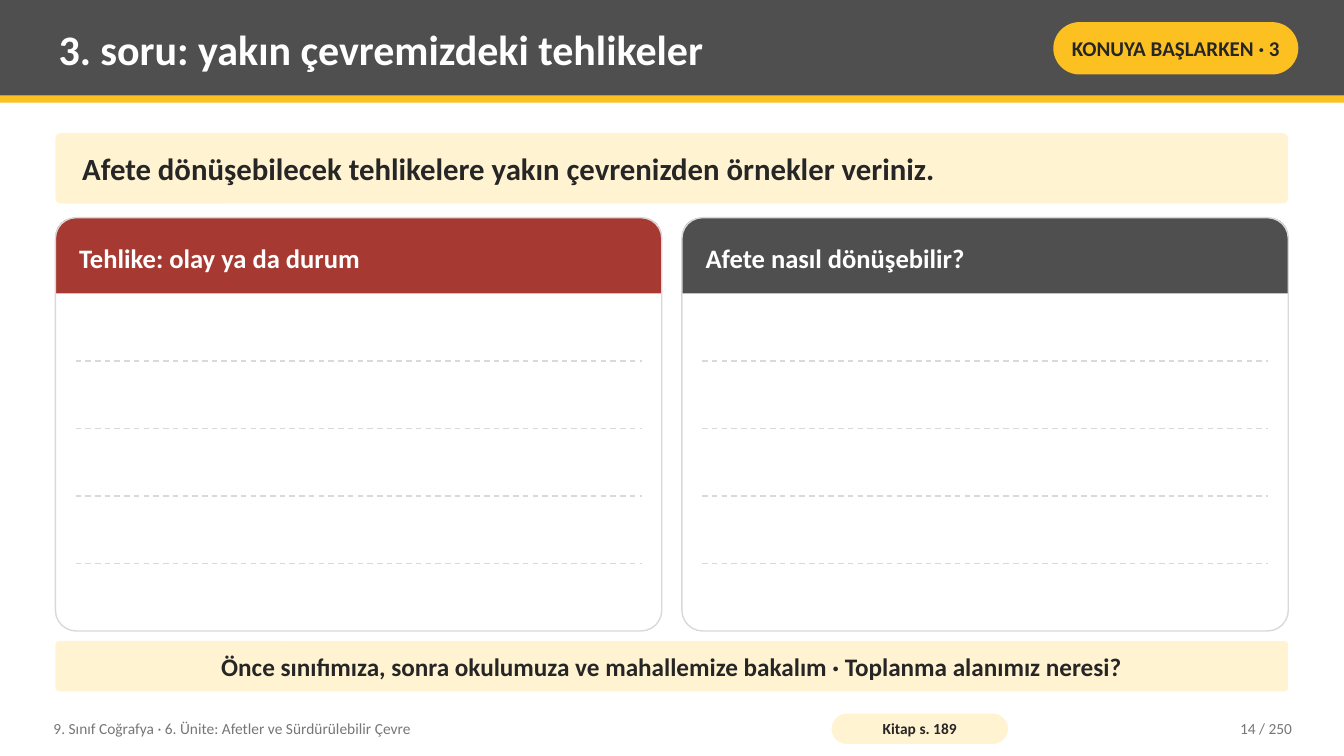
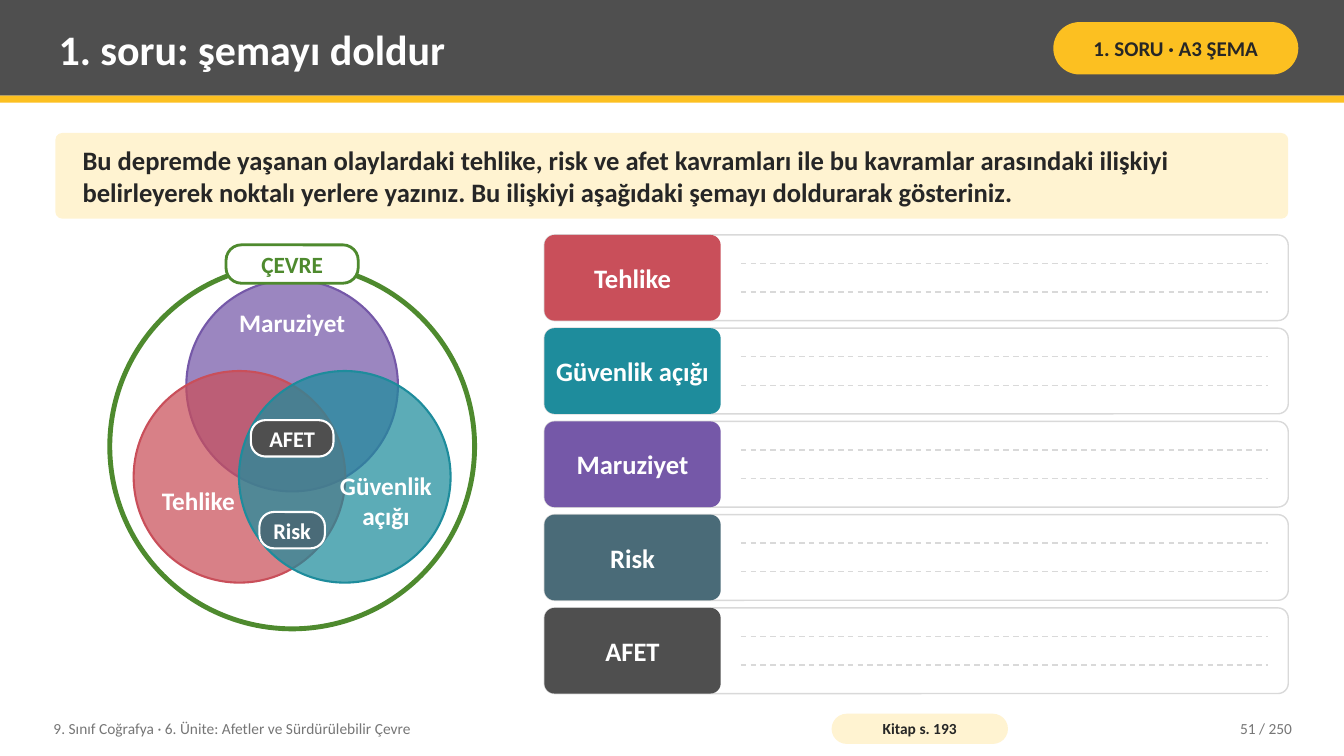
import math
from dataclasses import dataclass

import pptx
import pptx.dml.color
import pptx.enum.dml
import pptx.enum.shapes
import pptx.enum.text
import pptx.oxml.ns
import pptx.util
from lxml import etree

Pt = pptx.util.Pt
Preset = pptx.enum.shapes.MSO_SHAPE
Align = pptx.enum.text.PP_ALIGN


@dataclass(frozen=True)
class Theme:
    font: str = "Calibri"
    dark: str = "4F4F4F"
    gold: str = "FCC021"
    cream: str = "FFF3D1"
    white: str = "FFFFFF"
    ink: str = "262626"
    muted: str = "767676"
    rule: str = "D9D9D9"
    brick: str = "A63A32"
    hazard: str = "C94F5A"
    weakness: str = "1E8C9C"
    exposure: str = "7558A8"
    risk: str = "4A6B78"
    environment: str = "4E8A2E"
    title_size: float = 30
    question_size: float = 22
    heading_size: float = 19
    label_size: float = 18
    pill_size: float = 16
    badge_size: float = 15
    footer_size: float = 11


@dataclass(frozen=True)
class Box:
    x: float
    y: float
    w: float
    h: float

    @property
    def right(self):
        return self.x + self.w

    @property
    def bottom(self):
        return self.y + self.h

    def place(self):
        return [Pt(v) for v in (self.x, self.y, self.w, self.h)]


THEME = Theme()
SLIDE_W, SLIDE_H = 960, 540
MARGIN, CONTENT_W = 39.6, 880.6
COURSE = "9. Sınıf Coğrafya · 6. Ünite: Afetler ve Sürdürülebilir Çevre"
PAGE_COUNT = 250


def rgb(color):
    return pptx.dml.color.RGBColor.from_string(color)


def centered(x, y, w, h):
    return Box(x - w / 2, y - h / 2, w, h)


def write(shape, text, size, color, bold=True, align=Align.CENTER, inset=(1.4, 0)):
    """Fill a shape's frame with one run; inset is (horizontal, vertical)."""
    frame = shape.text_frame
    frame.word_wrap = True
    frame.auto_size = pptx.enum.text.MSO_AUTO_SIZE.NONE
    frame.vertical_anchor = pptx.enum.text.MSO_ANCHOR.MIDDLE
    frame.margin_left = frame.margin_right = Pt(inset[0])
    frame.margin_top = frame.margin_bottom = Pt(inset[1])
    paragraph = frame.paragraphs[0]
    paragraph.alignment = align
    run = paragraph.add_run()
    run.text = text
    run.font.name = THEME.font
    run.font.size = Pt(size)
    run.font.bold = bold
    run.font.color.rgb = rgb(color)


def draw(slide, preset, box, fill=None, line=None, line_width=1, corner=None, opacity=None):
    """Add a flat preset shape; opacity is a percentage."""
    shape = slide.shapes.add_shape(preset, *box.place())
    shape.shadow.inherit = False
    if corner is not None:
        shape.adjustments[0] = corner
    if fill:
        shape.fill.solid()
        shape.fill.fore_color.rgb = rgb(fill)
    else:
        shape.fill.background()
    if opacity is not None:
        fill_color = shape.element.spPr.find(".//" + pptx.oxml.ns.qn("a:srgbClr"))
        etree.SubElement(fill_color, pptx.oxml.ns.qn("a:alpha"), val=str(opacity * 1000))
    if line:
        shape.line.color.rgb = rgb(line)
        shape.line.width = Pt(line_width)
    else:
        shape.line.fill.background()
    return shape


def rounded(slide, box, corner, **style):
    return draw(slide, Preset.ROUNDED_RECTANGLE, box, corner=corner, **style)


def label(slide, box, text, size, color, **style):
    write(slide.shapes.add_textbox(*box.place()), text, size, color, **style)


def writing_lines(slide, box, count):
    """Draw dashed lines that divide the box's height into equal parts."""
    for i in range(1, count + 1):
        y = Pt(box.y + box.h * i / (count + 1))
        rule = slide.shapes.add_connector(
            pptx.enum.shapes.MSO_CONNECTOR.STRAIGHT, Pt(box.x), y, Pt(box.right), y)
        rule.line.color.rgb = rgb(THEME.rule)
        rule.line.width = Pt(1)
        rule.line.dash_style = pptx.enum.dml.MSO_LINE.DASH
        etree.SubElement(rule.element.spPr, pptx.oxml.ns.qn("a:effectLst"))


def header(slide, title, badge):
    draw(slide, Preset.RECTANGLE, Box(0, 0, SLIDE_W, 68.4), fill=THEME.dark)
    draw(slide, Preset.RECTANGLE, Box(0, 68.4, SLIDE_W, 5), fill=THEME.gold)
    heading = slide.shapes.title
    heading.left, heading.top, heading.width, heading.height = Box(36, 5, 702, 59).place()
    write(heading, title, THEME.title_size, THEME.white, align=Align.LEFT, inset=(5.8, 2.9))
    slide.shapes.element.append(heading.element)  # bring the title in front of the band
    tag = rounded(slide, Box(752.4, 15.8, 175, 37.4), 0.5, fill=THEME.gold)
    write(tag, badge, THEME.badge_size, THEME.ink, inset=(3.6, 1.4))


def footer(slide, book_page, page):
    style = dict(bold=False, inset=(5.8, 2.9))
    label(slide, Box(32.4, 506.9, 547.2, 26), COURSE, THEME.footer_size, THEME.muted,
          align=Align.LEFT, **style)
    source = rounded(slide, Box(594, 509.8, 126, 21.6), 0.5, fill=THEME.cream)
    write(source, f"Kitap s. {book_page}", THEME.footer_size, THEME.ink, inset=(2.9, 0))
    label(slide, Box(813.6, 506.9, 115.2, 26), f"{page} / {PAGE_COUNT}", THEME.footer_size,
          THEME.muted, align=Align.RIGHT, **style)


def strip(slide, box, text, size, align, side_inset):
    band = rounded(slide, box, 0.08, fill=THEME.cream)
    write(band, text, size, THEME.ink, align=align, inset=(side_inset, 5.8))


def answer_panel(slide, box, heading, color):
    head_h, indent = 54, 14.4
    head = draw(slide, Preset.ROUND_2_SAME_RECTANGLE, Box(box.x, box.y, box.w, head_h),
                fill=color, corner=0.25)
    write(head, heading, THEME.heading_size, THEME.white, align=Align.LEFT, inset=(13, 2.9))
    rounded(slide, box, 0.05, line=THEME.rule)
    writing_lines(slide, Box(box.x + indent, box.y + head_h, box.w - 2 * indent,
                             box.h - head_h), 4)


def concept_rows(slide, box, concepts):
    gap, name_w, indent = 5.4, 126, 14.4
    row_h = (box.h - gap * (len(concepts) - 1)) / len(concepts)
    for i, (concept, color) in enumerate(concepts):
        y = box.y + i * (row_h + gap)
        rounded(slide, Box(box.x, y, box.w, row_h), 0.12, fill=THEME.white, line=THEME.rule)
        name = rounded(slide, Box(box.x, y, name_w, row_h), 0.12, fill=color)
        write(name, concept, THEME.heading_size, THEME.white, inset=(4.3, 5.8))
        writing_lines(slide, Box(box.x + name_w + indent, y,
                                 box.w - name_w - 2 * indent, row_h), 2)


def disaster_venn(slide, box):
    """Three overlapping circles around the centre of a ring that fills the box."""
    cx, cy = box.x + box.w / 2, box.y + box.h / 2
    diameter, spread = box.w * 0.58, box.w / 6
    draw(slide, Preset.OVAL, box, fill=THEME.white, line=THEME.environment, line_width=3.5)
    for angle, color in ((-90, THEME.exposure), (150, THEME.hazard), (30, THEME.weakness)):
        x = cx + spread * math.cos(math.radians(angle))
        y = cy + spread * math.sin(math.radians(angle))
        draw(slide, Preset.OVAL, centered(x, y, diameter, diameter), fill=color,
             opacity=72, line=color, line_width=1.5)

    for text, dx, dy, w, h in (("Maruziyet", 0, -88.6, 113, 31.7),
                               ("Tehlike", -67, 38.9, 72, 31.7),
                               ("Güvenlik açığı", 67, 38.5, 72, 46.8)):
        label(slide, centered(cx + dx, cy + dy, w, h), text, THEME.label_size, THEME.white)

    for text, dy, w, h, fill, edge, edge_width, color, size in (
            ("Risk", 59.8, 46.8, 26, THEME.risk, THEME.white, 1.5, THEME.white, THEME.pill_size),
            ("AFET", -5.8, 59, 26, THEME.dark, THEME.white, 1.5, THEME.white, THEME.pill_size),
            ("ÇEVRE", -box.h / 2, 94.4, 27.4, THEME.white, THEME.environment, 2,
             THEME.environment, THEME.pill_size + 0.6)):
        pill = rounded(slide, centered(cx, cy + dy, w, h), 0.4, fill=fill, line=edge,
                       line_width=edge_width)
        write(pill, text, size, color)


def lesson_slide(deck, title, badge, book_page, page):
    slide = deck.slides.add_slide(deck.slide_layouts.get_by_name("Title Only"))
    header(slide, title, badge)
    footer(slide, book_page, page)
    return slide


def hazards_slide(deck):
    slide = lesson_slide(deck, "3. soru: yakın çevremizdeki tehlikeler",
                         "KONUYA BAŞLARKEN · 3", 189, 14)
    strip(slide, Box(MARGIN, 95, CONTENT_W, 50.4),
          "Afete dönüşebilecek tehlikelere yakın çevrenizden örnekler veriniz.",
          THEME.question_size, Align.LEFT, 18)
    gap = 14.4
    panel_w = (CONTENT_W - gap) / 2
    for i, (heading, color) in enumerate((("Tehlike: olay ya da durum", THEME.brick),
                                          ("Afete nasıl dönüşebilir?", THEME.dark))):
        answer_panel(slide, Box(MARGIN + i * (panel_w + gap), 155.5, panel_w, 295.2),
                     heading, color)
    strip(slide, Box(MARGIN, 457.9, CONTENT_W, 36),
          "Önce sınıfımıza, sonra okulumuza ve mahallemize bakalım · Toplanma alanımız neresi?",
          THEME.label_size, Align.CENTER, 10)


def diagram_slide(deck):
    slide = lesson_slide(deck, "1. soru: şemayı doldur", "1. SORU · A3 ŞEMA", 193, 51)
    strip(slide, Box(MARGIN, 95, CONTENT_W, 61.2),
          "Bu depremde yaşanan olaylardaki tehlike, risk ve afet kavramları ile bu kavramlar "
          "arasındaki ilişkiyi belirleyerek noktalı yerlere yazınız. Bu ilişkiyi aşağıdaki "
          "şemayı doldurarak gösteriniz.",
          THEME.heading_size, Align.LEFT, 18)
    disaster_venn(slide, Box(78.4, 188.6, 260.6, 260.6))
    concept_rows(slide, Box(388.8, 167.8, MARGIN + CONTENT_W - 388.8, 327.6),
                 (("Tehlike", THEME.hazard), ("Güvenlik açığı", THEME.weakness),
                  ("Maruziyet", THEME.exposure), ("Risk", THEME.risk), ("AFET", THEME.dark)))


def main():
    deck = pptx.Presentation()
    deck.slide_width, deck.slide_height = Pt(SLIDE_W), Pt(SLIDE_H)
    hazards_slide(deck)
    diagram_slide(deck)
    deck.save("out.pptx")


if __name__ == "__main__":
    main()
